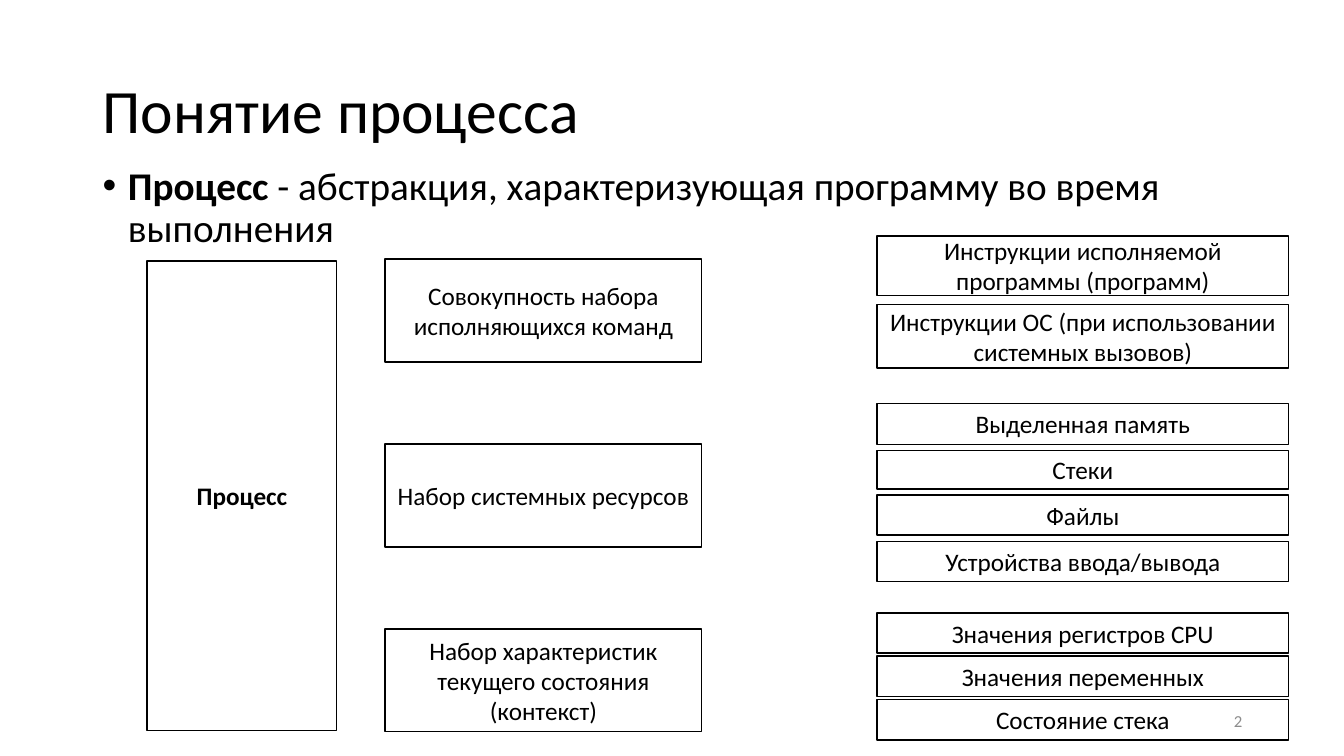
"""Build a slide that breaks a process down into its parts."""
from lxml import etree
from pptx import Presentation
from pptx.dml.color import RGBColor
from pptx.enum.shapes import MSO_SHAPE
from pptx.enum.text import MSO_ANCHOR, PP_ALIGN
from pptx.oxml.ns import qn
from pptx.util import Inches, Pt

RECT = MSO_SHAPE.RECTANGLE
TOP, MID = MSO_ANCHOR.TOP, MSO_ANCHOR.MIDDLE
LEFT, CENTER, RIGHT = PP_ALIGN.LEFT, PP_ALIGN.CENTER, PP_ALIGN.RIGHT

TITLE = "Понятие процесса"
LEAD = [("Процесс", True),
        (" - абстракция, характеризующая программу во время выполнения", False)]
ROOT = "Процесс"
PARTS = ["Совокупность набора исполняющихся команд",
         "Набор системных ресурсов",
         "Набор характеристик текущего состояния (контекст)"]
GROUPS = [
    (2.34, 0.09, [("Инструкции исполняемой программы (программ)", 0.59),
                  ("Инструкции ОС (при использовании системных вызовов)", 0.63)]),
    (4, 0.06, [("Выделенная память", 0.41), ("Стеки", 0.38),
               ("Файлы", 0.4), ("Устройства ввода/вывода", 0.4)]),
    (6.08, 0.03, [("Значения регистров CPU", 0.4),
                  ("Значения переменных", 0.4), ("Состояние стека", 0.4)]),
]
PAGE = "2"

WIDE, HIGH = 13.33, 7.5
HEX = {"ink": "000000", "paper": "FFFFFF", "page": "8C8C8C"}
FONT = "Calibri"
PART_TOP, PART_STEP = 2.57, 1.835
COLS = {"root": (1.46, 1.88), "part": (3.82, 3.14), "item": (8.7, 4.08)}


def tint(name):
    return RGBColor.from_string(HEX[name])


def write(shape, runs, size, align, anchor=MID, color="ink", **form):
    frame = shape.text_frame
    frame.word_wrap = True
    frame.vertical_anchor = anchor
    para = frame.paragraphs[0]
    para.alignment = align
    for key, value in form.items():
        setattr(para, key, value)
    for text, bold in runs:
        run = para.add_run()
        run.text = text
        run.font.color.rgb = tint(color)
        look = {"name": FONT, "size": Pt(size), "bold": bold}
        for key, value in look.items():
            setattr(run.font, key, value)
    return para


def label(slide, spot, *args, **form):
    shape = slide.shapes.add_textbox(*map(Inches, spot))
    return write(shape, *args, **form)


def box(slide, col, top, high, text, bold=False):
    left, wide = COLS[col]
    shape = slide.shapes.add_shape(RECT, *map(Inches, (left, top, wide, high)))
    shape.shadow.inherit = False
    shape.fill.solid()
    shape.fill.fore_color.rgb = tint("paper")
    shape.line.color.rgb = tint("ink")
    shape.line.width = Pt(1)
    write(shape, [(text, bold)], 18, CENTER)


def bullet(para):
    props = para._p.get_or_add_pPr()
    props.set("marL", str(Inches(0.25)))
    props.set("indent", str(Inches(-0.25)))
    etree.SubElement(props, qn("a:buFont")).set("typeface", "Arial")
    etree.SubElement(props, qn("a:buChar")).set("char", "•")


def main():
    deck = Presentation()
    deck.slide_width, deck.slide_height = Inches(WIDE), Inches(HIGH)
    slide = deck.slides.add_slide(deck.slide_layouts[6])

    label(slide, (0.92, 0.4, 11.5, 1.45), [(TITLE, False)], 44, LEFT,
          line_spacing=0.9)
    bullet(label(slide, (0.92, 1.6, 11.87, 1.17), LEAD, 28, LEFT, TOP,
                 line_spacing=0.9))

    box(slide, "root", 2.59, 4.66, ROOT, True)
    for row, text in enumerate(PARTS):
        box(slide, "part", PART_TOP + row * PART_STEP, 1.02, text)
    for top, gap, items in GROUPS:
        for text, high in items:
            box(slide, "item", top, high, text)
            top += high + gap

    label(slide, (9.42, 6.95, 3, 0.4), [(PAGE, False)], 12, RIGHT,
          color="page")
    deck.save("out.pptx")


if __name__ == "__main__":
    main()
